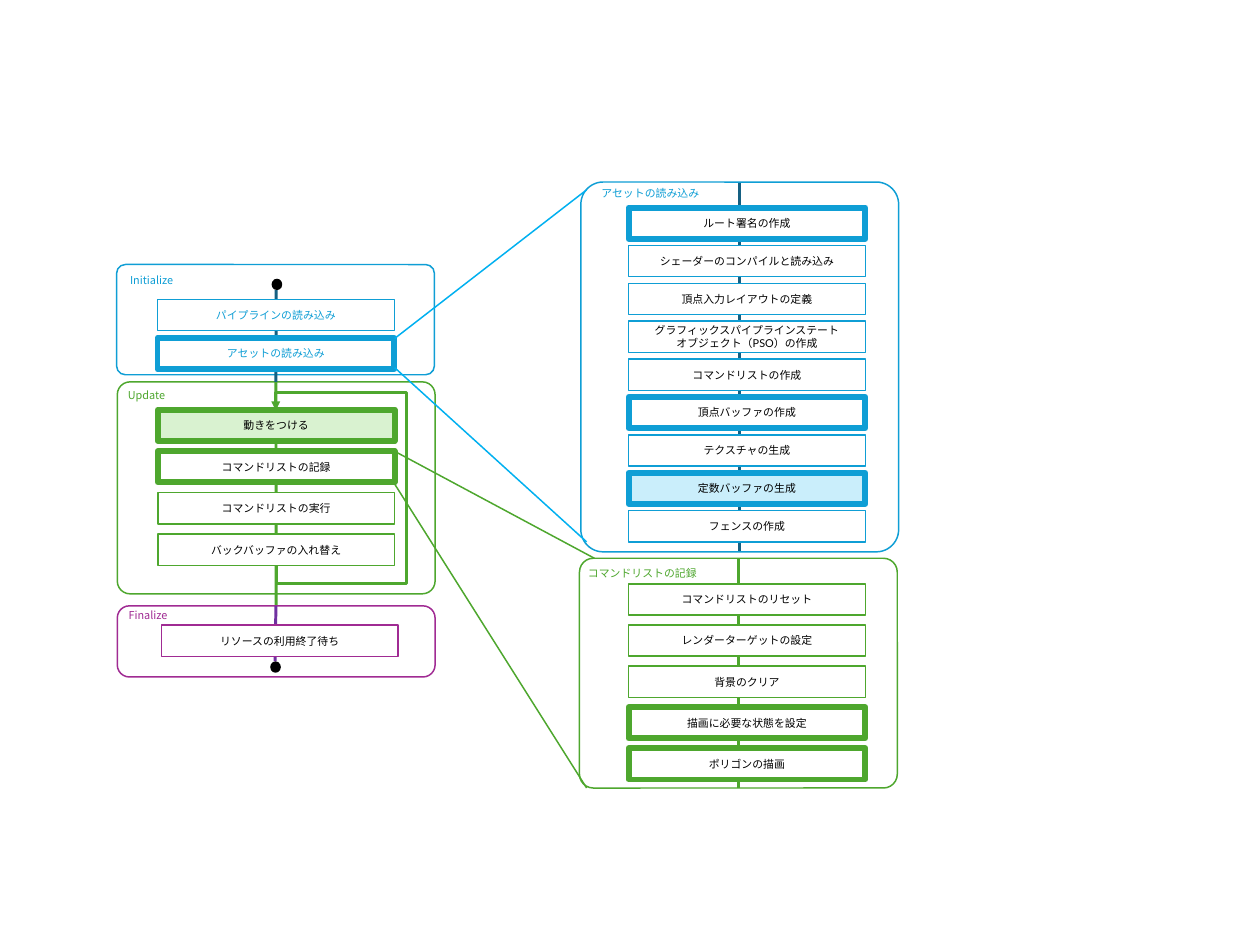
"""Draw the flow of a graphics program, with two of its steps opened up."""
import pptx
import pptx.util
import pptx.dml.color
import pptx.enum.shapes
import pptx.enum.text
import pptx.oxml.ns
import lxml.etree

Pt = pptx.util.Pt
qn = pptx.oxml.ns.qn
SHAPE = pptx.enum.shapes.MSO_SHAPE
LINK = pptx.enum.shapes.MSO_CONNECTOR
BLUE, SKY, NAVY = "0F9ED5", "00B0F0", "156082"
GREEN, PLUM, VIOLET = "4EA72E", "A02B93", "7030A0"
WHITE, BLACK = "FFFFFF", "000000"
CJK, LATIN = "Noto Sans CJK JP", "Lato"
THIN, MID, THICK = 1.5, 3, 6
WIDE, HIGH = 239.8, 31.7


def paint(target, color):
    """Set a font, line or fill to a hex colour."""
    if hasattr(target, "solid"):
        target.solid()
        target = target.fore_color
    else:
        target = target.color
    target.rgb = pptx.dml.color.RGBColor.from_string(color)


def write(frame, text, color, face):
    """Put one styled paragraph into a text frame."""
    frame.word_wrap = True
    para = frame.paragraphs[0]
    para.text = text
    para.font.size = Pt(11)
    para.font.name = face
    paint(para.font, color)
    east = lxml.etree.SubElement(para.font._element, qn("a:ea"))
    east.set("typeface", CJK)
    return para


def block(slide, kind, box, fill, color=None, width=THIN):
    """Add a preset shape with an optional fill and outline."""
    shape = slide.shapes.add_shape(kind, *map(Pt, box))
    shape.shadow.inherit = False
    if fill:
        paint(shape.fill, fill)
    else:
        shape.fill.background()
    if color:
        paint(shape.line, color)
        shape.line.width = Pt(width)
    else:
        shape.line.fill.background()
    return shape


def panel(slide, box, round_by, color, fill=WHITE):
    """Add a rounded frame for one stage."""
    shape = block(slide, SHAPE.ROUNDED_RECTANGLE, box, fill, color)
    shape.adjustments[0] = round_by


def label(slide, text, left, top, width, color, face=CJK):
    """Add the name of a stage."""
    box = slide.shapes.add_textbox(Pt(left), Pt(top), Pt(width), Pt(20.9))
    write(box.text_frame, text, color, face)


def dot(slide, left, top):
    """Add a start or end mark."""
    block(slide, SHAPE.OVAL, (left, top, 10.8, 11.5), BLACK)


def wire(slide, ends, color, width, kind=LINK.STRAIGHT):
    """Add a connector between two points."""
    line = slide.shapes.add_connector(kind, *map(Pt, ends))
    paint(line.line, color)
    line.line.width = Pt(width)
    lxml.etree.SubElement(line.element.spPr, qn("a:effectLst"))
    return line


def loop(slide):
    """Add the arrow that leads from the last update step to the first."""
    line = wire(slide, (358.6, 493.8, 200.9, 494.8), GREEN, MID, LINK.ELBOW)
    props = line.element.spPr
    props.find(qn("a:xfrm")).set("rot", "5400000")
    shape = props.find(qn("a:prstGeom"))
    shape.set("prst", "bentConnector5")
    guides = shape.find(qn("a:avLst"))
    for name, value in (("adj1", -11400), ("adj2", -13250000), ("adj3", 111400)):
        guide = lxml.etree.SubElement(guides, qn("a:gd"))
        guide.set("name", name)
        guide.set("fmla", f"val {value}")
    lxml.etree.SubElement(props.find(qn("a:ln")), qn("a:tailEnd")).set("type", "triangle")


def steps(slide, left, top, pitch, color, items, ink=BLACK, face=LATIN):
    """Stack step boxes at an equal pitch; each item is text, line width, fill."""
    for row, (text, width, fill) in enumerate(items):
        box = (left, top + row * pitch, WIDE, HIGH)
        shape = block(slide, SHAPE.RECTANGLE, box, fill, color, width)
        frame = shape.text_frame
        frame.vertical_anchor = pptx.enum.text.MSO_ANCHOR.MIDDLE
        para = write(frame, text, ink, face)
        para.alignment = pptx.enum.text.PP_ALIGN.CENTER


def main_flow(slide):
    """Draw the three stages on the left."""
    panel(slide, (118.8, 386.6, 321.8, 214.6), 0.06, GREEN)
    label(slide, "Update", 122.4, 389.5, 169, GREEN)
    loop(slide)
    wire(slide, (279.7, 613.4, 279.4, 386.6), GREEN, MID)
    panel(slide, (118.8, 613.4, 321.8, 72), 0.17, PLUM)
    wire(slide, (278.6, 669.6, 279.4, 613.4), VIOLET, MID)
    panel(slide, (118.1, 267.8, 321.8, 111.6), 0.08, BLUE)
    wire(slide, (279.7, 293.8, 279.4, 386.6), NAVY, MID)
    dot(slide, 275, 282.2)
    steps(slide, 159.5, 303.1, 39.1, BLUE, [
        ("パイプラインの読み込み", THIN, WHITE),
        ("アセットの読み込み", THICK, WHITE),
    ], BLUE, CJK)
    steps(slide, 159.8, 414.7, 42, GREEN, [
        ("動きをつける", THICK, "D9F2D0"),
        ("コマンドリストの記録", THICK, WHITE),
        ("コマンドリストの実行", THIN, WHITE),
        ("バックバッファの入れ替え", THIN, WHITE),
    ])
    steps(slide, 163.4, 632.9, 0, PLUM, [("リソースの利用終了待ち", THIN, WHITE)])
    label(slide, "Finalize", 123.1, 612.7, 69, PLUM)
    label(slide, "Initialize", 124.6, 273.6, 78, BLUE)
    dot(slide, 273.6, 669.6)


def record_list(slide):
    """Draw the opened command list step."""
    panel(slide, (586.8, 565.2, 321.8, 232.6), 0.06, GREEN)
    label(slide, "コマンドリストの記録", 588.2, 570.2, 135, GREEN, LATIN)
    wire(slide, (748.1, 797.8, 748.1, 565.2), GREEN, MID)
    steps(slide, 636.5, 591.1, 41.6, GREEN, [
        ("コマンドリストのリセット", THIN, WHITE),
        ("レンダーターゲットの設定", THIN, WHITE),
        ("背景のクリア", THIN, WHITE),
        ("描画に必要な状態を設定", THICK, WHITE),
        ("ポリゴンの描画", THICK, WHITE),
    ])
    wire(slide, (398.9, 456.5, 601.9, 565.2), GREEN, THIN)
    wire(slide, (398.9, 488.9, 594, 797.8), GREEN, THIN)


def load_list(slide):
    """Draw the opened asset step."""
    wire(slide, (748.8, 184.3, 748.8, 558.7), NAVY, MID)
    panel(slide, (588.2, 184.3, 321.8, 374.4), 0.07, BLUE, None)
    label(slide, "アセットの読み込み", 601.9, 185.8, 169, BLUE)
    steps(slide, 636.5, 210.2, 38.34, BLUE, [
        ("ルート署名の作成", THICK, WHITE),
        ("シェーダーのコンパイルと読み込み", THIN, WHITE),
        ("頂点入力レイアウトの定義", THIN, WHITE),
        ("グラフィックスパイプラインステート\nオブジェクト（PSO）の作成", THIN, WHITE),
        ("コマンドリストの作成", THIN, WHITE),
        ("頂点バッファの作成", THICK, WHITE),
        ("テクスチャの生成", THIN, WHITE),
        ("定数バッファの生成", THICK, "CAEEFB"),
        ("フェンスの作成", THIN, WHITE),
    ])
    wire(slide, (399.6, 342.7, 594, 192.2), SKY, THIN)
    wire(slide, (399.6, 372.2, 594, 548.6), SKY, THIN)


def main():
    """Build and save the slide."""
    deck = pptx.Presentation()
    deck.slide_width, deck.slide_height = Pt(1275.84), Pt(959.76)
    slide = deck.slides.add_slide(deck.slide_layouts[6])
    main_flow(slide)
    record_list(slide)
    load_list(slide)
    deck.save("out.pptx")


if __name__ == "__main__":
    main()
